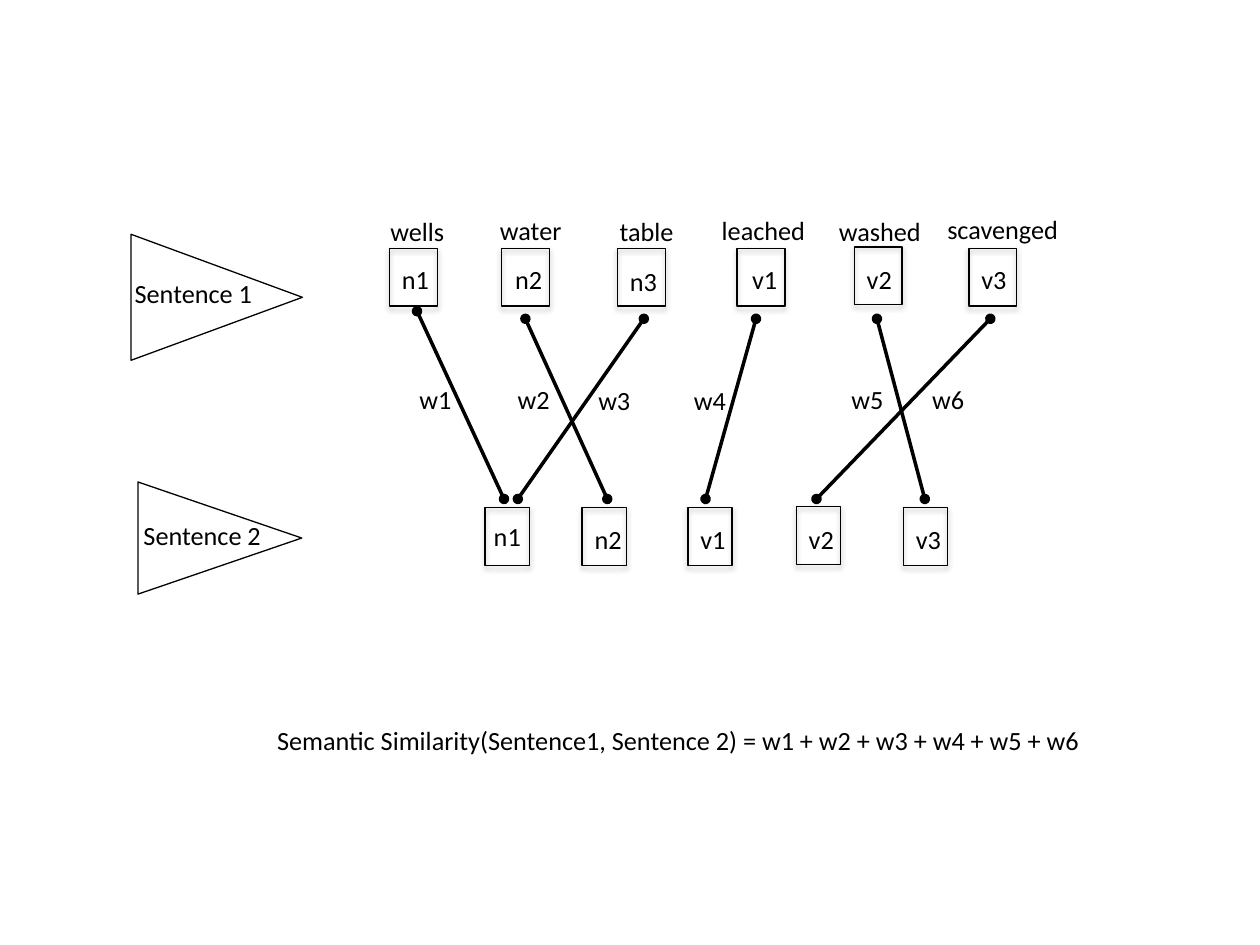
from dataclasses import dataclass

from lxml import etree
from pptx import Presentation
from pptx.dml.color import RGBColor
from pptx.enum.shapes import MSO_CONNECTOR, MSO_SHAPE
from pptx.enum.text import MSO_AUTO_SIZE
from pptx.oxml import parse_xml
from pptx.oxml.ns import nsdecls, qn
from pptx.util import Inches, Pt

TRIANGLE = MSO_SHAPE.ISOSCELES_TRIANGLE
RECTANGLE = MSO_SHAPE.RECTANGLE
STRAIGHT = MSO_CONNECTOR.STRAIGHT
FIT_SHAPE = MSO_AUTO_SIZE.SHAPE_TO_FIT_TEXT

NODE_SHADOW = (
    f'<a:effectLst {nsdecls("a")}>'
    '<a:outerShdw blurRad="39370" dist="22860" dir="5400000" rotWithShape="0">'
    '<a:srgbClr val="000000"><a:alpha val="35000"/></a:srgbClr>'
    '</a:outerShdw></a:effectLst>'
)


@dataclass(frozen=True)
class Theme:
    """Colours, font and sizes of the diagram."""

    ink: RGBColor = RGBColor(0, 0, 0)
    font: str = "Calibri"
    text_size: int = 15
    outline: float = 0.75
    edge: float = 2


class Diagram:
    """Draws the elements of the word matching diagram on one slide."""

    def __init__(self, slide, theme):
        self.slide = slide
        self.theme = theme

    def outline(self, shapes, kind, left, top, width, height):
        """Add an unfilled, thinly outlined shape."""
        shape = shapes.add_shape(
            kind, Inches(left), Inches(top), Inches(width), Inches(height)
        )
        shape.fill.background()
        shape.line.color.rgb = self.theme.ink
        shape.line.width = Pt(self.theme.outline)
        shape.shadow.inherit = False
        return shape

    def sentence(self, left, top, width, height):
        """Add a triangle that points right."""
        triangle = self.outline(self.slide.shapes, TRIANGLE, left, top, width, height)
        triangle.rotation = 90

    def node_row(self, corners, width, height):
        """Add a group of shadowed word nodes."""
        row = self.slide.shapes.add_group_shape()
        for left, top in corners:
            node = self.outline(row.shapes, RECTANGLE, left, top, width, height)
            properties = node._element.spPr
            properties.remove(properties.find(qn("a:effectLst")))
            properties.append(parse_xml(NODE_SHADOW))

    def label(self, text, left, top, width, height=0.35):
        """Add one line of text."""
        box = self.slide.shapes.add_textbox(
            Inches(left), Inches(top), Inches(width), Inches(height)
        )
        frame = box.text_frame
        frame.text = text
        frame.word_wrap = False
        frame.auto_size = FIT_SHAPE
        font = frame.paragraphs[0].runs[0].font
        font.name = self.theme.font
        font.size = Pt(self.theme.text_size)
        font.color.rgb = self.theme.ink

    def edge(self, start, end):
        """Add a line with a dot at both ends."""
        link = self.slide.shapes.add_connector(
            STRAIGHT, *(Inches(value) for value in (*start, *end))
        )
        link.line.color.rgb = self.theme.ink
        link.line.width = Pt(self.theme.edge)
        line = link.line._get_or_add_ln()
        for tip in ("a:headEnd", "a:tailEnd"):
            etree.SubElement(line, qn(tip), type="oval")
        etree.SubElement(link._element.spPr, qn("a:effectLst"))


SENTENCE_TRIANGLES = [(1.22, 1.68, 1, 1.36), (1.3, 3.62, 0.89, 1.3)]
SENTENCE_LABELS = [("Sentence 1", 0.97, 2.15), ("Sentence 2", 1.04, 4.07)]
FIRST_NODES = [
    (3.09, 1.97), (3.98, 1.97), (4.9, 1.97), (5.85, 1.97), (6.78, 1.96), (7.69, 1.97),
]
SECOND_NODES = [(3.85, 4.03), (4.62, 4.03), (5.46, 4.03), (6.32, 4.02), (7.17, 4.03)]
WORDS = [
    ("wells", 3, 1.66, 0.64),
    ("water", 3.87, 1.65, 0.7),
    ("table", 4.82, 1.66, 0.64),
    ("leached", 5.63, 1.65, 0.87),
    ("washed", 6.56, 1.66, 0.86),
    ("scavenged", 7.42, 1.64, 1.1),
]
NODE_LABELS = [
    ("n1", 3.09, 2.04), ("n2", 3.99, 2.04), ("n3", 4.9, 2.06),
    ("v1", 5.87, 2.04), ("v2", 6.78, 2.04), ("v3", 7.69, 2.04),
    ("n1", 3.82, 4.08), ("n2", 4.62, 4.1), ("v1", 5.46, 4.1),
    ("v2", 6.32, 4.1), ("v3", 7.17, 4.1),
]
EDGE_BOTTOM = 3.96
EDGES = [
    (3.31, 2.47, 4), (5.11, 2.53, 4.11), (4.17, 2.53, 4.82),
    (6, 2.53, 5.6), (7.86, 2.53, 6.48), (6.96, 2.53, 7.34),
]
WEIGHTS = [
    ("w1", 3.23, 2.99), ("w2", 4.01, 2.99), ("w3", 4.65, 3),
    ("w4", 5.41, 3), ("w5", 6.66, 2.99), ("w6", 7.3, 2.99),
]
FORMULA = "Semantic Similarity(Sentence1, Sentence 2) = w1 + w2 + w3 + w4 + w5 + w6"


def main():
    """Build and save the slide."""
    deck = Presentation()
    deck.slide_width, deck.slide_height = Inches(10), Inches(7.5)
    diagram = Diagram(deck.slides.add_slide(deck.slide_layouts[6]), Theme())

    for triangle in SENTENCE_TRIANGLES:
        diagram.sentence(*triangle)
    diagram.node_row(FIRST_NODES, 0.38, 0.46)
    diagram.node_row(SECOND_NODES, 0.35, 0.46)
    for word in WORDS:
        diagram.label(*word)
    for labels, width in (
        (NODE_LABELS, 0.42), (SENTENCE_LABELS, 1.15), (WEIGHTS, 0.46)
    ):
        for text, left, top in labels:
            diagram.label(text, left, top, width)
    for start_x, start_y, end_x in EDGES:
        diagram.edge((start_x, start_y), (end_x, EDGE_BOTTOM))
    diagram.label(FORMULA, 2.1, 5.7, 6.65)

    deck.save("out.pptx")


if __name__ == "__main__":
    main()
